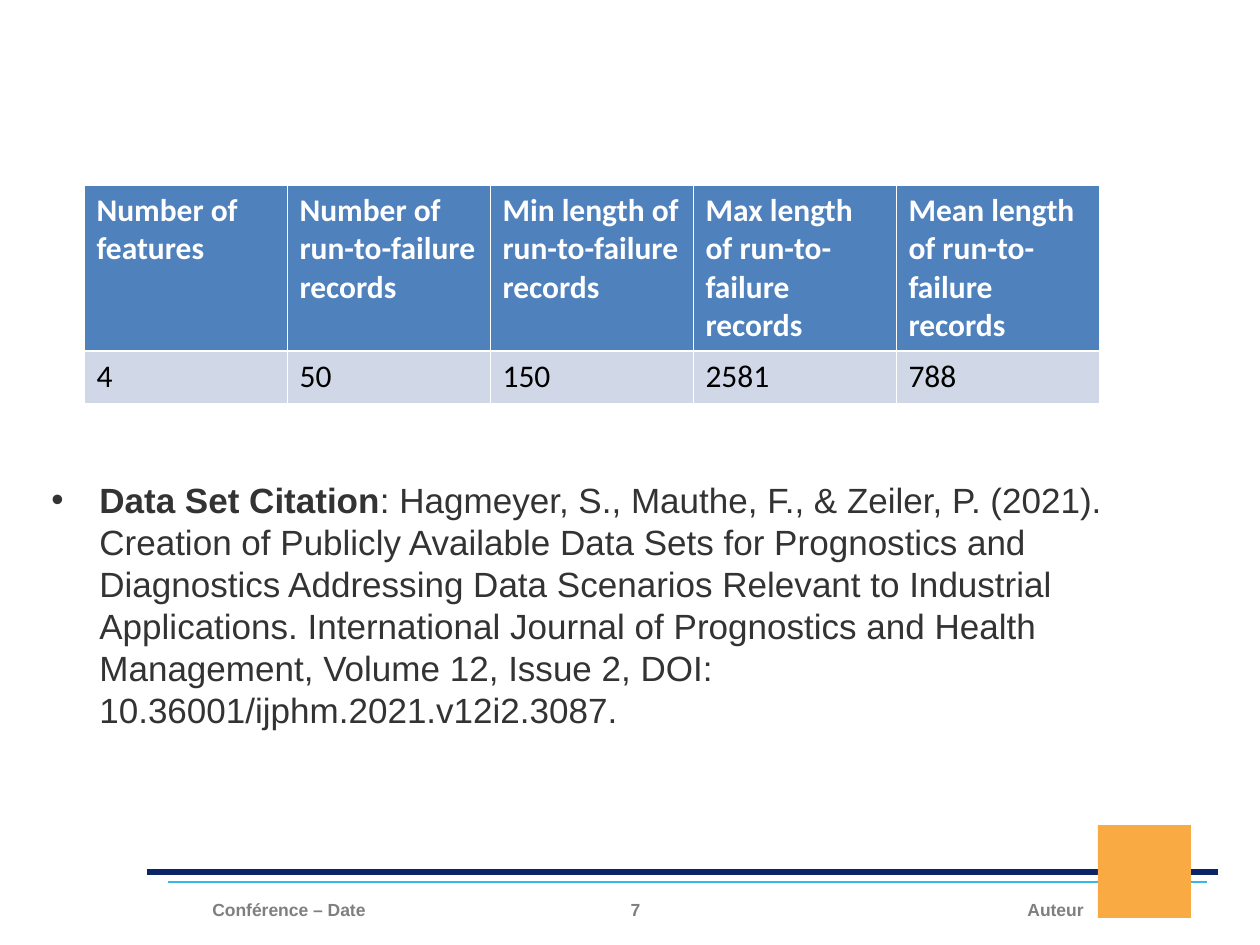
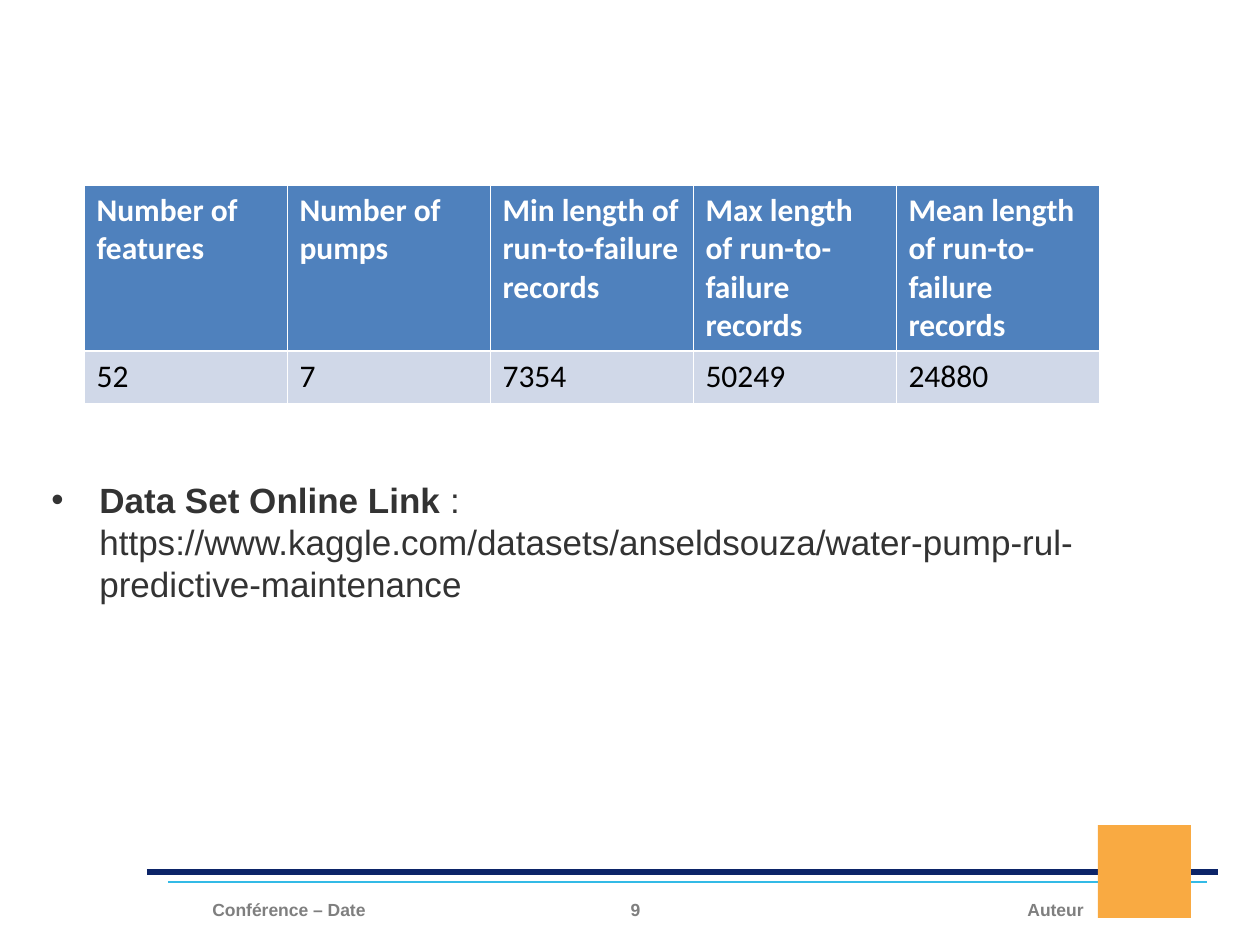
"""Build two data set summary slides with a shared footer band."""
from pptx import Presentation
from pptx import util as u
from pptx.dml.color import RGBColor
from pptx.enum import shapes, text
from pptx.oxml import parse_xml
from pptx.oxml.ns import nsdecls

COLORS = {
    "white": "FFFFFF", "black": "000000", "ink": "333333", "gray": "7F7F7F",
    "navy": "0C2468", "cyan": "33BAE6", "orange": "F9AA42",
    "header": "4F81BD", "band": "D0D8E8",
}
RGB = {name: RGBColor.from_string(code) for name, code in COLORS.items()}
LEFT, CENTER, RIGHT = text.PP_ALIGN.LEFT, text.PP_ALIGN.CENTER, text.PP_ALIGN.RIGHT
THIN, THICK = u.Pt(0.45), u.Pt(1.47)
RULES = [(147, 1218, 872, "navy", 3), (168, 1207, 882, "cyan", 1.5)]
LENGTHS = [f"{kind} length of run-to-failure records" for kind in ("Min", "Max", "Mean")]
SLIDES = [
    {
        "number": "7",
        "header": ["Number of features", "Number of run-to-failure records", *LENGTHS],
        "values": ["4", "50", "150", "2581", "788"],
        "note": ("Data Set Citation",
                 ": Hagmeyer, S., Mauthe, F., & Zeiler, P. (2021). Creation of Publicly "
                 "Available Data Sets for Prognostics and Diagnostics Addressing Data "
                 "Scenarios Relevant to Industrial Applications. International Journal of "
                 "Prognostics and Health Management, Volume 12, Issue 2, DOI: "
                 "10.36001/ijphm.2021.v12i2.3087."),
    },
    {
        "number": "9",
        "header": ["Number of features", "Number of pumps", *LENGTHS],
        "values": ["52", "7", "7354", "50249", "24880"],
        "note": ("Data Set Online Link ",
                 ": https://www.kaggle.com/datasets/anseldsouza/"
                 "water-pump-rul-predictive-maintenance"),
    },
]


def px(*lengths):
    return [u.Emu(round(length * 914400 / 126)) for length in lengths]


def style(span, size, color, bold=False, name="Arial"):
    span.font.size = u.Pt(size)
    span.font.color.rgb = RGB[color]
    span.font.bold = bold
    span.font.name = name


deck = Presentation()
deck.slide_width, deck.slide_height = px(1260, 945)

for content in SLIDES:
    page = deck.slides.add_slide(deck.slide_layouts[6])

    footers = [(557, 157, content["number"], CENTER),
               (200, 325, "Conférence – Date", LEFT),
               (771, 325, "Auteur", RIGHT)]
    for left, width, label, align in footers:
        box = page.shapes.add_textbox(*px(left, 893, width, 34))
        box.text_frame.word_wrap = True
        para = box.text_frame.paragraphs[0]
        para.text = label
        para.alignment = align
        style(para.runs[0], 10, "gray", bold=True)

    for start, end, height, color, weight in RULES:
        rule = page.shapes.add_connector(
            shapes.MSO_CONNECTOR.STRAIGHT, *px(start, height, end, height))
        rule.line.color.rgb = RGB[color]
        rule.line.width = u.Pt(weight)
        rule._element.spPr.append(parse_xml(f"<a:effectLst {nsdecls('a')}/>"))

    block = page.shapes.add_shape(shapes.MSO_SHAPE.RECTANGLE, *px(1098, 825, 93, 93))
    block.shadow.inherit = False
    block.line.fill.background()
    block.fill.solid()
    block.fill.fore_color.rgb = RGB["orange"]

    box = page.shapes.add_textbox(*px(39, 472, 1186, 257))
    box.text_frame.word_wrap = True
    para = box.text_frame.paragraphs[0]
    indent = px(48)[0]
    properties = para._p.get_or_add_pPr()
    properties.set("marL", str(indent))
    properties.set("indent", str(-indent))
    for bullet in (f'<a:buClr {nsdecls("a")}><a:srgbClr val="{COLORS["ink"]}"/></a:buClr>',
                   f'<a:buFont {nsdecls("a")} typeface="Arial"/>',
                   f'<a:buChar {nsdecls("a")} char="•"/>'):
        properties.append(parse_xml(bullet))
    for words, bold in zip(content["note"], (True, False)):
        span = para.add_run()
        span.text = words
        style(span, 20, "ink", bold)

    rows = [content["header"], content["values"]]
    table = page.shapes.add_table(2, 5, *px(84, 185, 5 * 203, 218)).table
    for column in table.columns:
        column.width = px(203)[0]
    for row, height in zip(table.rows, px(166, 52)):
        row.height = height
    for row_index, labels in enumerate(rows):
        is_header = row_index == 0
        borders = {"L": THIN, "R": THIN,
                   "T": THIN if is_header else THICK,
                   "B": THICK if is_header else THIN}
        for column_index, label in enumerate(labels):
            cell = table.cell(row_index, column_index)
            for side, weight in borders.items():
                cell._tc.get_or_add_tcPr().append(parse_xml(
                    f'<a:ln{side} {nsdecls("a")} w="{weight}"><a:solidFill>'
                    f'<a:srgbClr val="{COLORS["white"]}"/></a:solidFill></a:ln{side}>'))
            cell.fill.solid()
            cell.fill.fore_color.rgb = RGB["header" if is_header else "band"]
            cell.text_frame.text = label
            style(cell.text_frame.paragraphs[0].runs[0], 18,
                  "white" if is_header else "black", is_header, "Calibri")

deck.save("out.pptx")
